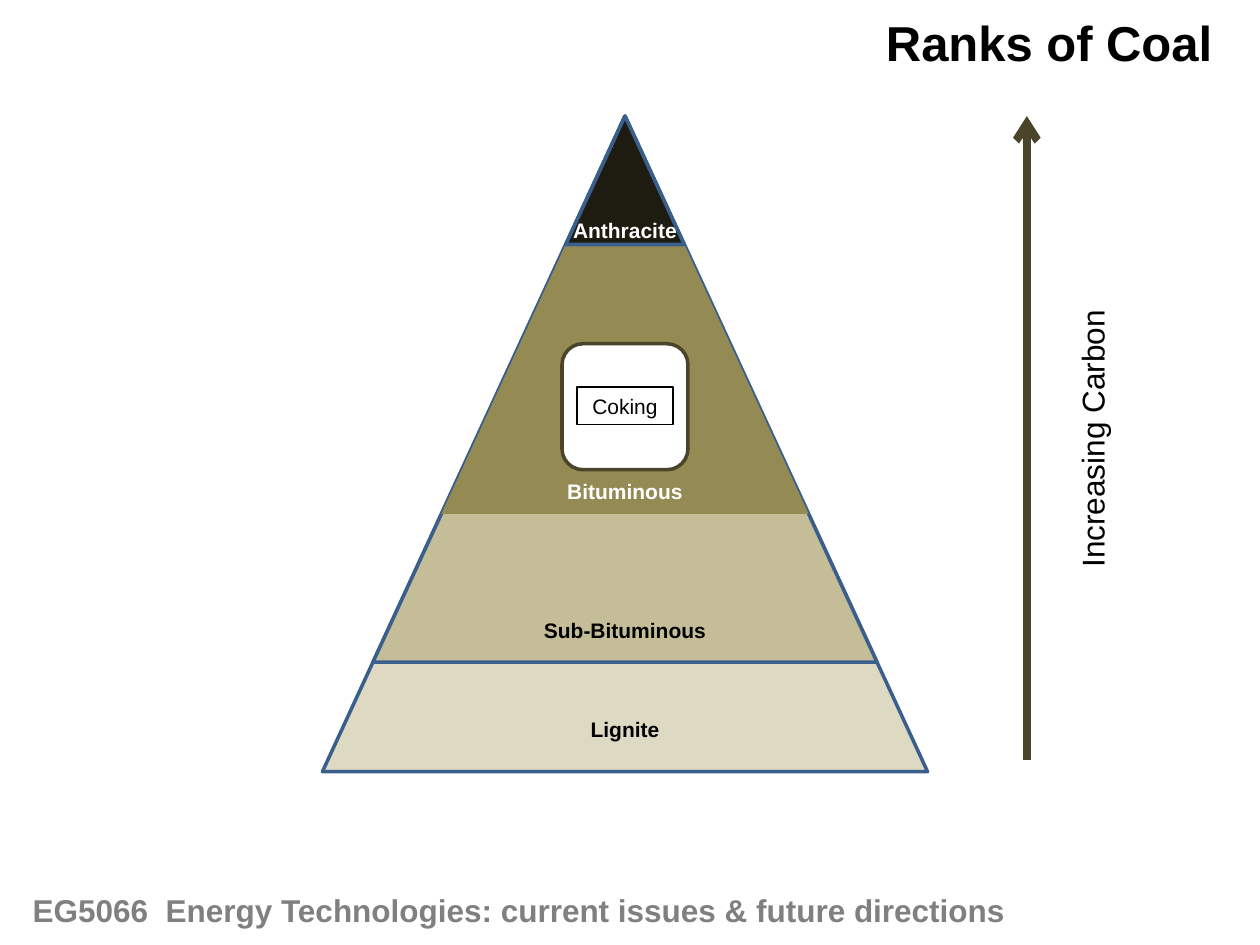
from lxml.etree import SubElement
from pptx import Presentation
from pptx.dml.color import RGBColor
from pptx.enum.shapes import MSO_CONNECTOR, MSO_SHAPE as SHAPE
from pptx.enum.text import MSO_ANCHOR as ANCHOR, PP_ALIGN as ALIGN
from pptx.oxml.ns import qn
from pptx.util import Cm, Pt

BLACK = RGBColor(0x00, 0x00, 0x00)
WHITE = RGBColor(0xFF, 0xFF, 0xFF)
GREY = RGBColor(0x80, 0x80, 0x80)
BLUE = RGBColor(0x3A, 0x5F, 0x8C)
OLIVE = RGBColor(0x4A, 0x45, 0x2A)
LIGNITE = RGBColor(0xDD, 0xD9, 0xC3)
SUB_BITUMINOUS = RGBColor(0xC4, 0xBD, 0x97)
BITUMINOUS = RGBColor(0x94, 0x8A, 0x54)
ANTHRACITE = RGBColor(0x1E, 0x1C, 0x11)

# Pyramid geometry in cm: every rank shares one apex and one slope
CENTRE, APEX, SLOPE = 12.6, 2.34, 13 / 12

# Rank, triangle width, fill, outline, label top, label width, label colour
RANKS = [
    ("Lignite", 12.2, LIGNITE, BLUE, 14.33, 1.93, BLACK),
    ("Sub-Bituminous", 10.16, SUB_BITUMINOUS, BLUE, 12.32, 3.81, BLACK),
    ("Bituminous", 7.4, BITUMINOUS, None, 9.53, 2.87, WHITE),
    ("Anthracite", 2.39, ANTHRACITE, BLUE, 4.27, 2.62, WHITE),
]


def write(shape, text, size=12, color=BLACK, bold=False, align=ALIGN.LEFT,
          anchor=ANCHOR.TOP, wrap=False):
    frame = shape.text_frame
    frame.word_wrap = wrap
    frame.vertical_anchor = anchor
    para = frame.paragraphs[0]
    para.alignment = align
    span = para.add_run()
    span.text = text
    span.font.name = "Arial"
    span.font.size = Pt(size)
    span.font.bold = bold
    span.font.color.rgb = color


class Painter:
    def __init__(self, deck):
        self.page = deck.slides.add_slide(deck.slide_layouts[5])
        self.shapes = self.page.shapes

    def title(self, text, left, top, width, height, **style):
        box = self.page.shapes.title
        box.left, box.top = Cm(left), Cm(top)
        box.width, box.height = Cm(width), Cm(height)
        write(box, text, **style)

    def label(self, text, left, top, width, height, rotation=0, **style):
        box = self.shapes.add_textbox(Cm(left), Cm(top), Cm(width), Cm(height))
        box.rotation = rotation
        write(box, text, **style)

    def shape(self, kind, top, width, height, fill, line=None, weight=2):
        """Add a preset shape centred on the pyramid's axis."""
        item = self.shapes.add_shape(kind, Cm(CENTRE - width / 2), Cm(top),
                                     Cm(width), Cm(height))
        item.shadow.inherit = False
        item.fill.solid()
        item.fill.fore_color.rgb = fill
        if line is None:
            item.line.fill.background()
        else:
            item.line.color.rgb = line
            item.line.width = Pt(weight)
        return item

    def arrow(self, x, start, end, color, weight):
        line = self.shapes.add_connector(MSO_CONNECTOR.STRAIGHT, Cm(x), Cm(start),
                                         Cm(x), Cm(end))
        line.line.color.rgb = color
        line.line.width = Pt(weight)
        SubElement(line.line._get_or_add_ln(), qn("a:tailEnd"), type="arrow")
        SubElement(line._element.spPr, qn("a:effectLst"))

    def begin_group(self):
        self.shapes = self.page.shapes.add_group_shape().shapes


def main():
    deck = Presentation()
    deck.slide_width, deck.slide_height = Cm(25.4), Cm(19.05)
    painter = Painter(deck)

    # Course line and title
    painter.label("EG5066  Energy Technologies: current issues & future directions",
                  0.41, 17.83, 21.82, 1.02, size=18, color=GREY, bold=True, wrap=True)
    painter.title("Ranks of Coal", 17.53, 0.13, 7.16, 1.45, size=28, bold=True,
                  align=ALIGN.RIGHT)

    # Carbon scale
    painter.arrow(20.7, 15.32, APEX, OLIVE, 4.5)
    painter.label("Increasing Carbon", 19.15, 8.31, 5.74, 1.02, rotation=270, size=18)

    # Pyramid, from the widest rank to the narrowest
    painter.begin_group()
    for name, width, fill, line, top, label_width, color in RANKS:
        painter.shape(SHAPE.ISOSCELES_TRIANGLE, APEX, width, width * SLOPE, fill, line)
        painter.label(name, CENTRE - label_width / 2, top, label_width, 0.76,
                      color=color, bold=True, align=ALIGN.CENTER)

    # Coking coal inside the bituminous rank
    painter.shape(SHAPE.ROUNDED_RECTANGLE, 6.93, 2.54, 2.54, WHITE, OLIVE)
    coking = painter.shape(SHAPE.RECTANGLE, 7.8, 1.94, 0.76, WHITE, BLACK, 0.75)
    write(coking, "Coking", align=ALIGN.CENTER)

    deck.save("out.pptx")


if __name__ == "__main__":
    main()
